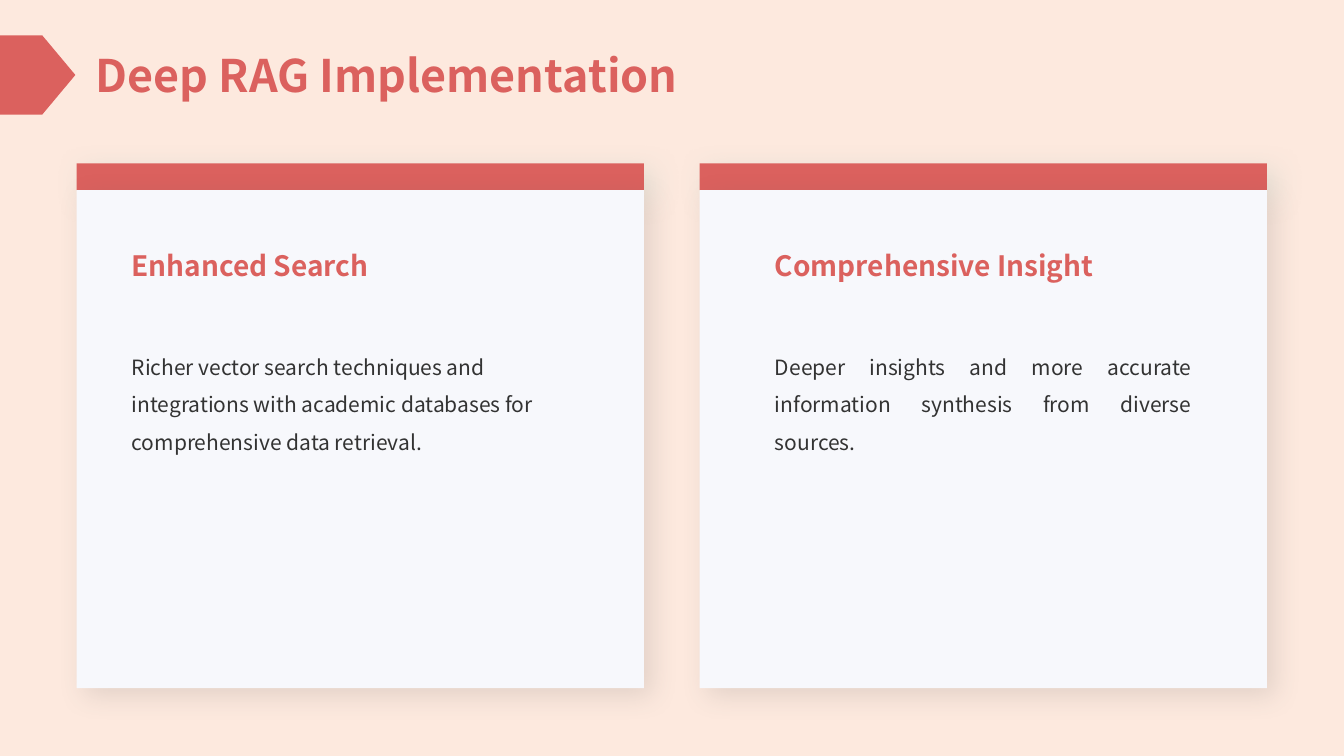
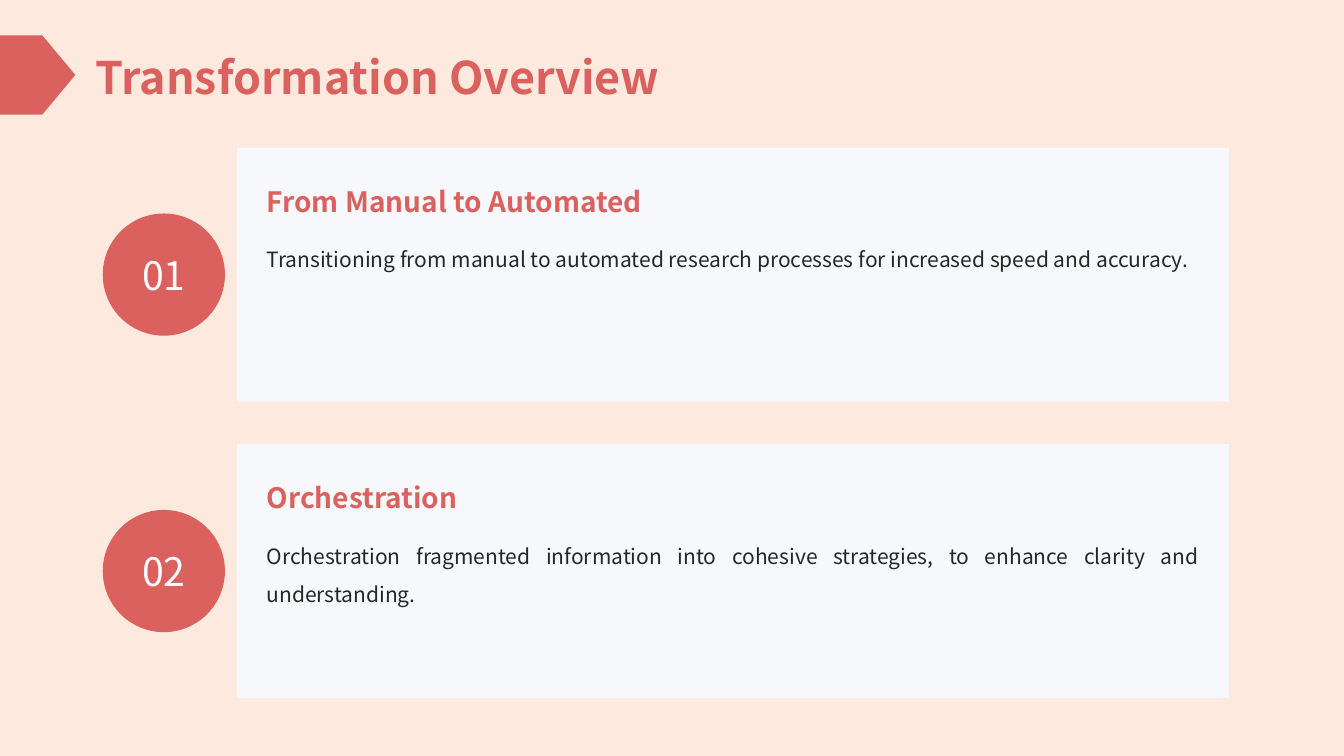
from pptx import Presentation
from pptx.dml.color import RGBColor as Rgb
from pptx.enum.shapes import MSO_SHAPE as Kind
from pptx.enum.text import MSO_ANCHOR as Anchor, MSO_AUTO_SIZE as Fit, PP_ALIGN as Align
from pptx.oxml.ns import qn
from pptx.util import Cm, Pt
from lxml.etree import SubElement as Sub

FONT = "Noto Sans CJK SC"
HUES = {
    "page": "FDE9DE", "red": "DB615E", "card": "F7F8FC", "white": "FFFFFF",
    "gray": "333333", "ink": "262626", "glow": "B0C4BA", "shade": "4C4C4C",
}

CARDS = [
    (1.93, 1.14, 12, Align.LEFT, "Enhanced Search",
     "Richer vector search techniques and integrations with academic databases "
     "for comprehensive data retrieval."),
    (17.63, 1.65, 11, Align.JUSTIFY, "Comprehensive Insight",
     "Deeper insights and more accurate information synthesis from diverse sources."),
]
STEPS = [
    ("From Manual to Automated",
     "Transitioning from manual to automated research processes for increased "
     "speed and accuracy."),
    ("Orchestration",
     "Orchestration fragmented information into cohesive strategies, to enhance "
     "clarity and understanding."),
]


def tint(hue):
    return Rgb.from_string(HUES[hue])


def place(box):
    return [Cm(side) for side in box]


def write(shape, text, size, hue, bold=False, align=Align.LEFT, gap=None,
          anchor=Anchor.TOP):
    frame = shape.text_frame
    frame.text = text
    frame.word_wrap = True
    frame.auto_size = Fit.NONE
    frame.vertical_anchor = anchor
    para = frame.paragraphs[0]
    para.alignment = align
    para.line_spacing = gap
    font = para.runs[0].font
    font.name, font.size, font.bold = FONT, Pt(size), bold
    font.color.rgb = tint(hue)


def label(slide, box, text, size, hue, **style):
    write(slide.shapes.add_textbox(*place(box)), text, size, hue, **style)


def block(slide, kind, box, hue):
    shape = slide.shapes.add_shape(kind, *place(box))
    shape.shadow.inherit = False
    shape.fill.solid()
    shape.fill.fore_color.rgb = tint(hue)
    shape.line.fill.background()
    return shape


def cast(shape, hue, alpha):
    effects = shape._element.spPr.find(qn("a:effectLst"))
    outer = Sub(effects, qn("a:outerShdw"), blurRad=str(Pt(20)), dist=str(Pt(8)),
                dir="2700000", algn="tl", rotWithShape="0")
    color = Sub(outer, qn("a:srgbClr"), val=HUES[hue])
    Sub(color, qn("a:alpha"), val=str(alpha * 1000))


def start(deck, text, top):
    slide = deck.slides.add_slide(deck.slide_layouts[5])
    tag = block(slide, Kind.PENTAGON, (0, 0.89, 1.9, 2), "red")
    tag.adjustments[0] = 0.44
    title = slide.shapes.title
    title.left, title.top, title.width, title.height = place((2.16, top, 30, 2))
    write(title, text, 32, "red", bold=True, anchor=Anchor.MIDDLE)
    return slide


def card(slide, box, inset, wide, align, head, text):
    x, y, w, h = box
    band = 0.67
    cast(block(slide, Kind.RECTANGLE, (x, y, w, band), "red"), "glow", 40)
    cast(block(slide, Kind.RECTANGLE, (x, y + band, w, h - band), "card"), "shade", 15)
    label(slide, (x + inset, y + 1.93, 12, 2.2), head, 20, "red", bold=True, gap=1.1)
    label(slide, (x + inset, y + 4.36, wide, 7), text, 15, "gray", align=align, gap=1.5)


def step(slide, box, mark, head, text):
    x, y, w, h = box
    disc = 3.08
    block(slide, Kind.RECTANGLE, box, "card")
    spot = block(slide, Kind.OVAL, (x - 3.38, y + (h - disc) / 2, disc, disc), "red")
    write(spot, mark, 28, "white", align=Align.CENTER, anchor=Anchor.MIDDLE)
    label(slide, (x + 0.5, y + 0.56, w - 1, 1.5), head, 20, "red", bold=True,
          gap=1.1, anchor=Anchor.MIDDLE)
    label(slide, (x + 0.5, y + 2.06, w - 1, 3.8), text, 15, "ink",
          align=Align.JUSTIFY, gap=1.5)


def search(deck):
    slide = start(deck, "Deep RAG Implementation", 0.89)
    for x, *parts in CARDS:
        card(slide, (x, 4.12, 14.3, 13.22), *parts)


def change(deck):
    slide = start(deck, "Transformation Overview", 0.93)
    for i, (head, text) in enumerate(STEPS):
        step(slide, (5.97, 3.72 + i * 7.47, 25, 6.4), f"{i + 1:02}", head, text)


def main():
    deck = Presentation()
    deck.slide_width, deck.slide_height = Cm(33.87), Cm(19.05)
    back = deck.slide_master.background.fill
    back.solid()
    back.fore_color.rgb = tint("page")
    search(deck)
    change(deck)
    deck.save("out.pptx")


if __name__ == "__main__":
    main()
